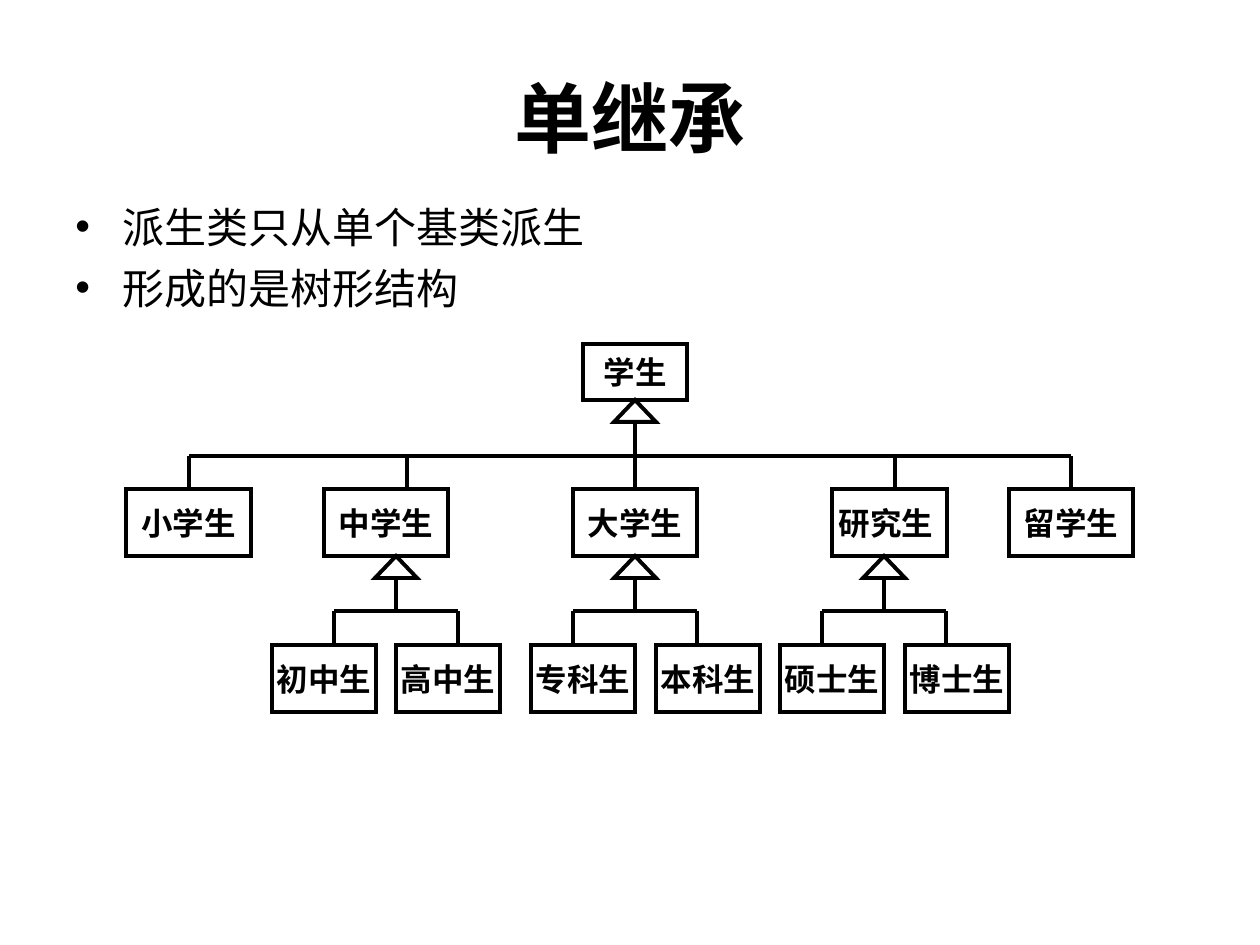
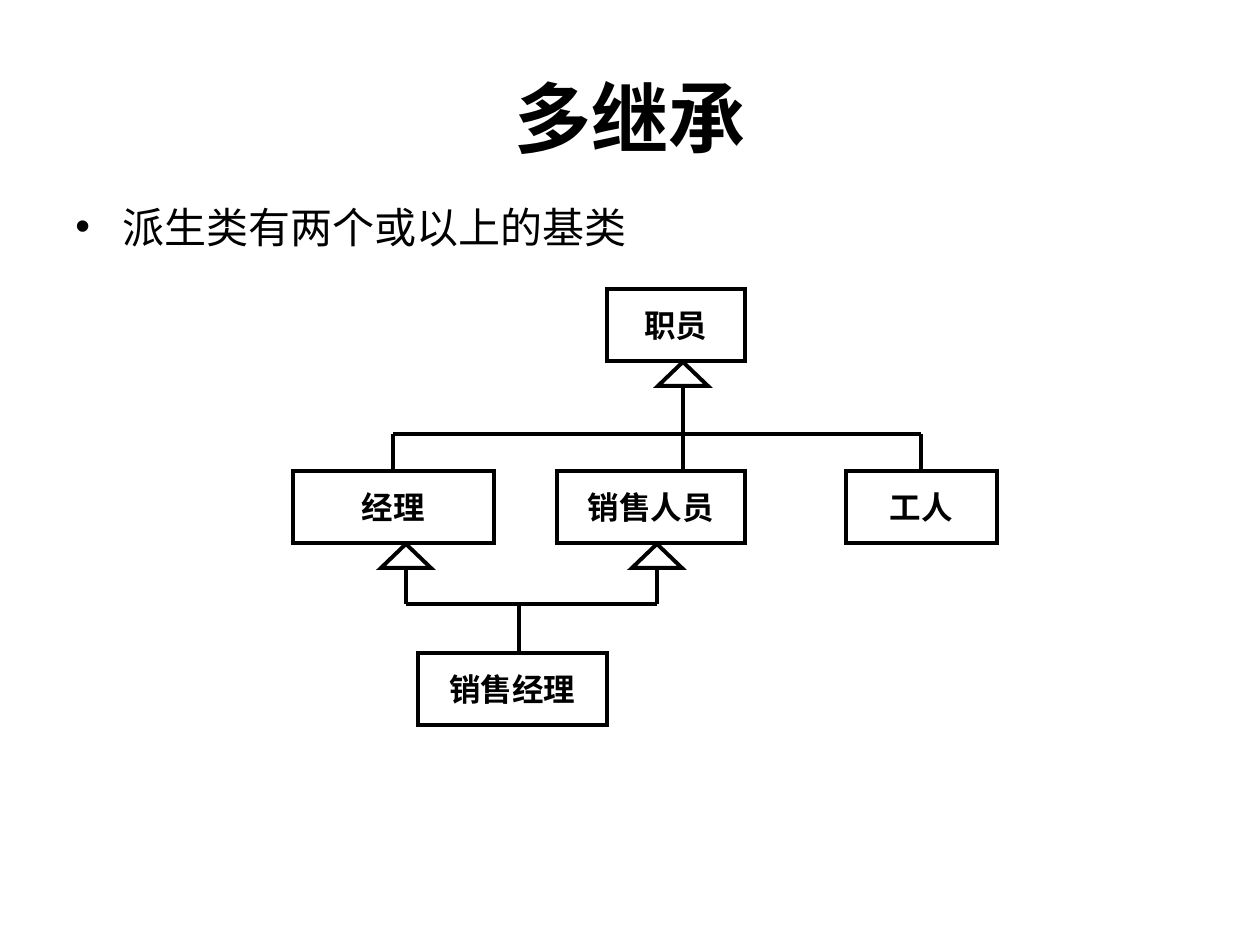
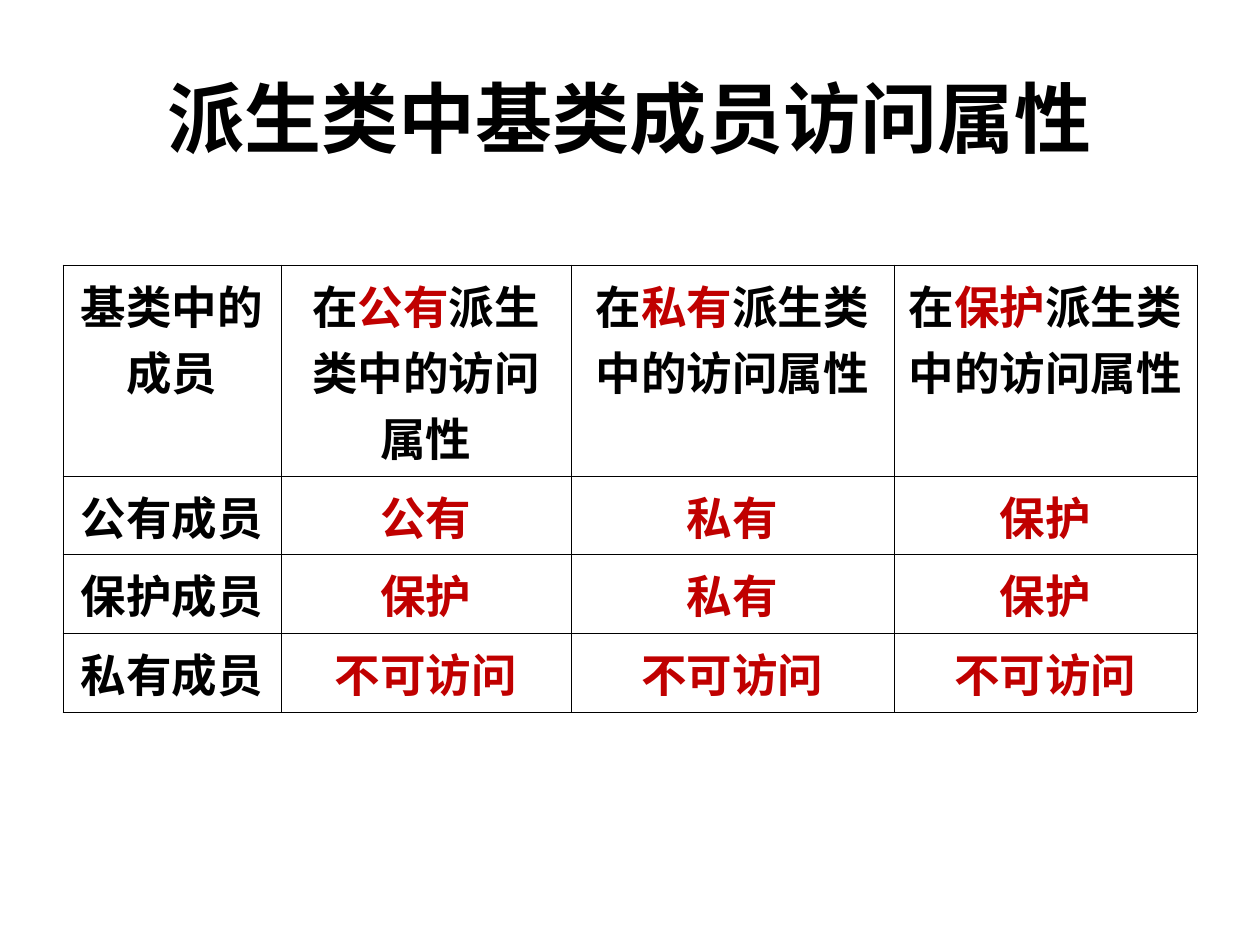
from pptx import Presentation
from pptx.dml.color import RGBColor
from pptx.enum.shapes import MSO_CONNECTOR, MSO_SHAPE
from pptx.enum.text import MSO_ANCHOR, PP_ALIGN
from pptx.oxml.ns import qn
from pptx.util import Emu, Pt
from lxml.etree import SubElement

PX = 914400 / 126
BLACK = RGBColor(0, 0, 0)
RED = RGBColor(0xC0, 0, 0)
EAST_ASIAN = "Noto Sans CJK SC"
TITLE = {"name": EAST_ASIAN, "size": Pt(44), "bold": True}
BODY = {"name": "Arial", "size": Pt(24), "bold": False}
LABEL = {"name": "Arial", "size": Pt(18), "bold": True}
CELL = {"name": "Times New Roman", "size": Pt(26), "bold": True}
LINE_WIDTH = Pt(2.24)

# Content. Rows: top, height, then (name, left, width) for each class.
# Joins: parent tips, tip y, bar y, child centres, child top.
DIAGRAMS = [
    {
        "title": "单继承",
        "bullets": ["派生类只从单个基类派生", "形成的是树形结构"],
        "triangle": (42, 22),
        "rows": [
            (344, 56, [("学生", 583, 104)]),
            (489, 67, [("小学生", 126, 125), ("中学生", 324, 124),
                       ("大学生", 573, 124), ("研究生 ", 832, 115),
                       ("留学生", 1009, 124)]),
            (645, 67, [("初中生", 272, 104), ("高中生", 396, 104),
                       ("专科生", 531, 104), ("本科生", 656, 104),
                       ("硕士生", 780, 104), ("博士生", 905, 104)]),
        ],
        "joins": [([635], 400, 456, [189, 407, 635, 895, 1071], 489)]
        + [([x], 556, 611, [x - 62, x + 62], 645) for x in (396, 635, 884)],
    },
    {
        "title": "多继承",
        "bullets": ["派生类有两个或以上的基类"],
        "triangle": (50, 24),
        "rows": [
            (289, 72, [("职员", 607, 138)]),
            (471, 72, [("经理", 293, 201), ("销售人员", 557, 188),
                       ("工人", 846, 151)]),
            (653, 72, [("销售经理", 418, 189)]),
        ],
        "joins": [([683], 362, 434, [393, 683, 921], 471),
                  ([406, 657], 544, 604, [519], 653)],
    },
]

TABLE_TITLE = "派生类中基类成员访问属性"
KINDS = ["公有", "私有", "保护"]
ACCESS = [("公有成员", ["公有", "私有", "保护"]),
          ("保护成员", ["保护", "私有", "保护"]),
          ("私有成员", ["不可访问"] * 3)]
COLUMNS = [218, 290, 323, 303]
ROW_HEIGHTS = [211, 78, 79, 79]


def px(*values):
    return [Emu(round(v * PX)) for v in values]


def add_run(p, text, style, color=BLACK):
    r = p.add_run()
    r.text = text
    for key, value in style.items():
        setattr(r.font, key, value)
    r.font.color.rgb = color
    SubElement(r._r.get_or_add_rPr(), qn("a:ea"), typeface=EAST_ASIAN)


def new_slide(title):
    s = prs.slides.add_slide(prs.slide_layouts[6])
    tf = s.shapes.add_textbox(*px(63, 38, 1134, 157)).text_frame
    tf.word_wrap = True
    tf.vertical_anchor = MSO_ANCHOR.MIDDLE
    tf.paragraphs[0].alignment = PP_ALIGN.CENTER
    add_run(tf.paragraphs[0], title, TITLE)
    return s


def add_bullets(s, lines):
    tf = s.shapes.add_textbox(*px(63, 195, 1134, 624)).text_frame
    tf.word_wrap = True
    for i, line in enumerate(lines):
        p = tf.add_paragraph() if i else tf.paragraphs[0]
        p.space_before = Pt(6)
        pPr = p._p.get_or_add_pPr()
        indent = px(47)[0]
        pPr.set("marL", str(indent))
        pPr.set("indent", str(-indent))
        SubElement(pPr, qn("a:buFont"), typeface="Arial")
        SubElement(pPr, qn("a:buChar"), char="•")
        add_run(p, line, BODY)


def add_outline(s, kind, *box):
    sp = s.shapes.add_shape(kind, *px(*box))
    sp.shadow.inherit = False
    sp.fill.background()
    sp.line.color.rgb = BLACK
    sp.line.width = LINE_WIDTH
    SubElement(sp.line._get_or_add_ln(), qn("a:miter"), lim="800000")
    return sp


def add_class(s, name, *box):
    tf = add_outline(s, MSO_SHAPE.RECTANGLE, *box).text_frame
    tf.word_wrap = False
    tf.vertical_anchor = MSO_ANCHOR.MIDDLE
    tf.paragraphs[0].alignment = PP_ALIGN.CENTER
    add_run(tf.paragraphs[0], name, LABEL)


def add_line(s, *ends):
    c = s.shapes.add_connector(MSO_CONNECTOR.STRAIGHT, *px(*ends))
    c.line.color.rgb = BLACK
    c.line.width = LINE_WIDTH
    SubElement(c._element.spPr, qn("a:effectLst"))


def add_join(s, triangle, tips, tip_y, bar_y, children, child_y):
    w, h = triangle
    for x in tips:
        add_outline(s, MSO_SHAPE.ISOSCELES_TRIANGLE, x - w / 2, tip_y, w, h)
        add_line(s, x, tip_y + h, x, bar_y)
    for x in children:
        add_line(s, x, bar_y, x, child_y)
    ends = tips + children
    add_line(s, min(ends), bar_y, max(ends), bar_y)


def fill_cell(cell, runs):
    p = cell.text_frame.paragraphs[0]
    p.alignment = PP_ALIGN.CENTER
    for text, color in runs:
        add_run(p, text, CELL, color)
    tcPr = cell._tc.get_or_add_tcPr()
    for side in ("a:lnL", "a:lnR", "a:lnT", "a:lnB"):
        ln = SubElement(tcPr, qn(side), w=str(Pt(0.45)))
        fill = SubElement(ln, qn("a:solidFill"))
        SubElement(fill, qn("a:srgbClr"), val=str(BLACK))
    cell.fill.background()


prs = Presentation()
prs.slide_width, prs.slide_height = px(1260, 945)

# Inheritance diagrams
for d in DIAGRAMS:
    s = new_slide(d["title"])
    add_bullets(s, d["bullets"])
    for top, height, classes in d["rows"]:
        for name, left, width in classes:
            add_class(s, name, left, top, width, height)
    for join in d["joins"]:
        add_join(s, d["triangle"], *join)

# Access table
s = new_slide(TABLE_TITLE)
header = [[("基类中的成员", BLACK)]] + [
    [("在", BLACK), (kind, RED), ("派生类中的访问属性", BLACK)] for kind in KINDS]
rows = [header] + [[[(member, BLACK)]] + [[(a, RED)] for a in access]
                   for member, access in ACCESS]
table = s.shapes.add_table(len(rows), len(COLUMNS),
                           *px(63, 265, sum(COLUMNS), sum(ROW_HEIGHTS))).table
table.first_row = table.horz_banding = False
for column, width in zip(table.columns, px(*COLUMNS)):
    column.width = width
for row, height, contents in zip(table.rows, px(*ROW_HEIGHTS), rows):
    row.height = height
    for cell, runs in zip(row.cells, contents):
        fill_cell(cell, runs)

prs.save("out.pptx")
